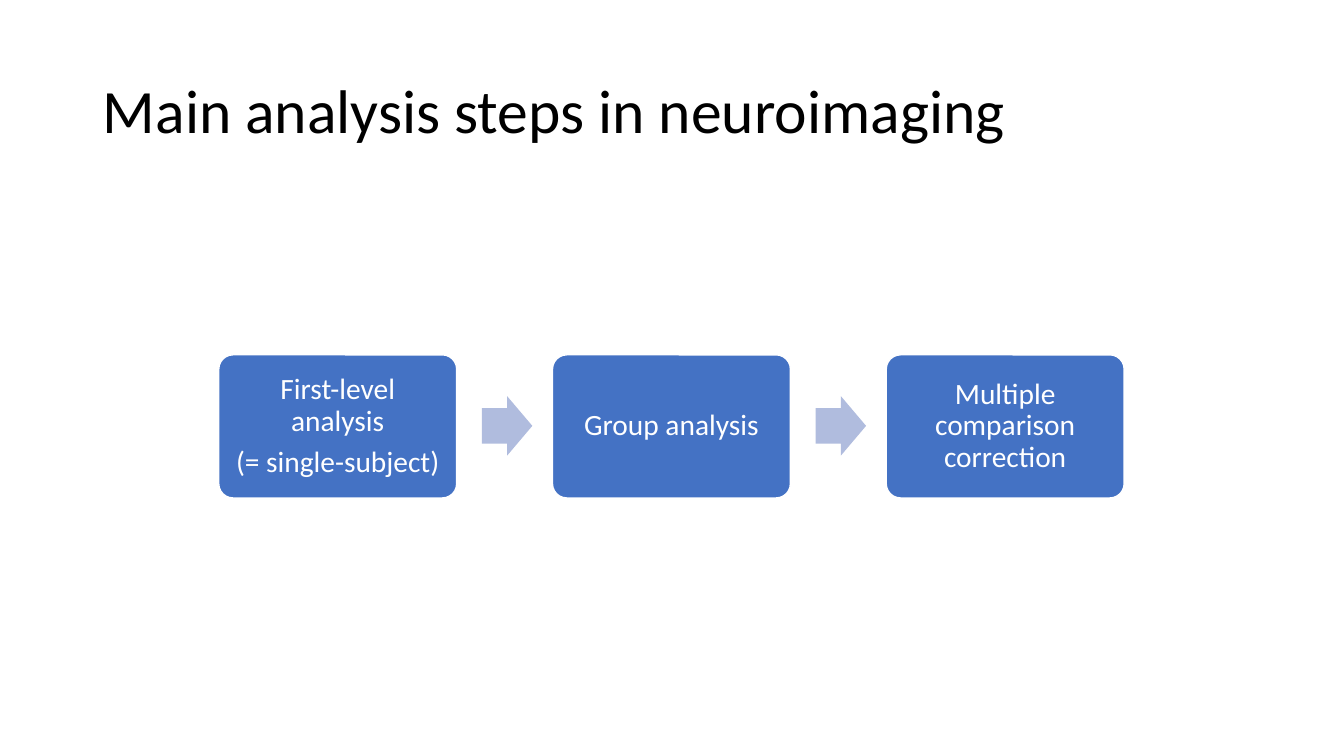
from pptx import Presentation, util as u
from pptx.dml.color import RGBColor
from pptx.enum import shapes, text

BLACK = RGBColor(0x00, 0x00, 0x00)
WHITE = RGBColor(0xFF, 0xFF, 0xFF)
STEP_BLUE = RGBColor(0x44, 0x72, 0xC4)
ARROW_BLUE = RGBColor(0xB0, 0xBC, 0xDE)

PX = 9144  # EMU per px, 100 px to the inch
STEPS = [
    ["First-level analysis", "(= single-subject)"],
    ["Group analysis"],
    ["Multiple comparison correction"],
]
FIRST_LEFT, PITCH = 217, 331
STEP_TOP, STEP_WIDTH, STEP_HEIGHT = 352, 236, 142
ARROW_OFFSET, ARROW_WIDTH, ARROW_HEIGHT = 261, 50, 59


class ProcessSlide:
    font = "Calibri"

    def __init__(self, deck):
        self.slide = deck.slides.add_slide(deck.slide_layouts[5])

    def set_lines(self, frame, lines, size, color, align, space_after=0):
        frame.text = "\n".join(lines)
        frame.word_wrap = True
        frame.auto_size = text.MSO_AUTO_SIZE.NONE
        frame.vertical_anchor = text.MSO_ANCHOR.MIDDLE
        for paragraph in frame.paragraphs:
            paragraph.alignment = align
            paragraph.line_spacing = 0.9
            paragraph.space_before = u.Pt(0)
            paragraph.space_after = u.Pt(space_after)
            for run in paragraph.runs:
                run.font.name = self.font
                run.font.size = u.Pt(size)
                run.font.color.rgb = color

    def title(self, wording, left, top, width, height):
        heading = self.slide.shapes.title
        heading.left, heading.top = left * PX, top * PX
        heading.width, heading.height = width * PX, height * PX
        self.set_lines(heading.text_frame, [wording], 44, BLACK, text.PP_ALIGN.LEFT)

    def block(self, preset, left, top, width, height, fill, adjustments):
        block = self.slide.shapes.add_shape(
            preset, left * PX, top * PX, width * PX, height * PX)
        block.shadow.inherit = False
        block.fill.solid()
        block.fill.fore_color.rgb = fill
        for index, value in enumerate(adjustments):
            block.adjustments[index] = value
        return block

    def step(self, lines, left):
        step = self.block(shapes.MSO_SHAPE.ROUNDED_RECTANGLE, left, STEP_TOP,
                          STEP_WIDTH, STEP_HEIGHT, STEP_BLUE, [0.1])
        step.line.color.rgb = WHITE
        step.line.width = u.Pt(1)
        frame = step.text_frame
        frame.margin_left = frame.margin_right = 9 * PX
        frame.margin_top = frame.margin_bottom = 9 * PX
        self.set_lines(frame, lines, 21, WHITE, text.PP_ALIGN.CENTER, space_after=7)

    def arrow(self, left):
        top = STEP_TOP + (STEP_HEIGHT - ARROW_HEIGHT) // 2
        arrow = self.block(shapes.MSO_SHAPE.RIGHT_ARROW, left, top,
                           ARROW_WIDTH, ARROW_HEIGHT, ARROW_BLUE, [0.6, 0.5])
        arrow.line.fill.background()


def main():
    deck = Presentation()
    deck.slide_width, deck.slide_height = 1333 * PX, 750 * PX
    process = ProcessSlide(deck)
    process.title("Main analysis steps in neuroimaging", 92, 40, 1150, 145)
    for index, lines in enumerate(STEPS):
        left = FIRST_LEFT + index * PITCH
        process.step(lines, left)
        if index < len(STEPS) - 1:
            process.arrow(left + ARROW_OFFSET)
    deck.save("out.pptx")


if __name__ == "__main__":
    main()
